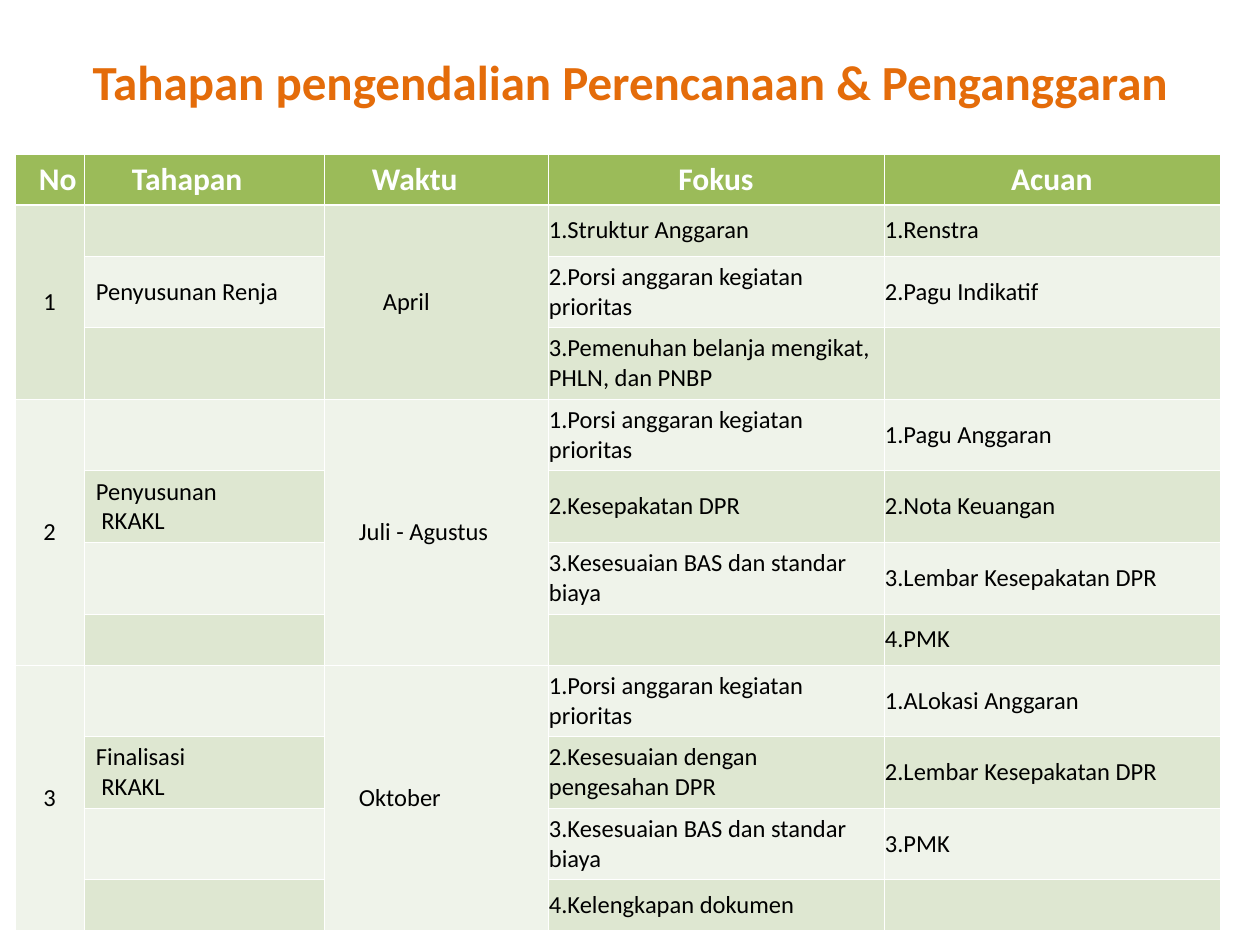
import dataclasses
import pptx
import pptx.util
import pptx.dml.color
import pptx.enum.text
import pptx.oxml.ns
import lxml.etree


@dataclasses.dataclass(frozen=True)
class Theme:
    """Colours, type sizes and line widths of the deck."""
    font: str = "Calibri"
    title: str = "E46C0A"
    head: str = "9BBB59"
    light: str = "FEFFFF"
    ink: str = "000000"
    line: str = "FFFFFF"
    bands: tuple = ("EFF3EA", "DEE7D1")
    big: int = 28
    mid: int = 18
    small: int = 14
    thin: float = 0.45
    thick: float = 1.47


SCALE = 914400 / 126
ALIGN = pptx.enum.text.PP_ALIGN
MIDDLE = pptx.enum.text.MSO_ANCHOR.MIDDLE
HEADS = ["No", "Tahapan", "Waktu", "Fokus", "Acuan"]
COLS = [69, 240, 224, 336, 336]
SHORT, TALL = 51, 60
STAGES = [
    ("1", "April", 59, [
        ("", "1.Struktur Anggaran", "1.Renstra"),
        ("Penyusunan Renja", "2.Porsi anggaran kegiatan prioritas", "2.Pagu Indikatif"),
        ("", "3.Pemenuhan belanja mengikat, PHLN, dan PNBP", "")]),
    ("2", "Juli - Agustus", 35, [
        ("", "1.Porsi anggaran kegiatan prioritas", "1.Pagu Anggaran"),
        ("Penyusunan\n RKAKL", "2.Kesepakatan DPR", "2.Nota Keuangan"),
        ("", "3.Kesesuaian BAS dan standar biaya", "3.Lembar Kesepakatan DPR"),
        ("", "", "4.PMK")]),
    ("3", "Oktober", 35, [
        ("", "1.Porsi anggaran kegiatan prioritas", "1.ALokasi Anggaran"),
        ("Finalisasi\n RKAKL", "2.Kesesuaian dengan pengesahan DPR", "2.Lembar Kesepakatan DPR"),
        ("", "3.Kesesuaian BAS dan standar biaya", "3.PMK"),
        ("", "4.Kelengkapan dokumen", "")]),
]


def px(n):
    return pptx.util.Emu(round(n * SCALE))


def rgb(code):
    return pptx.dml.color.RGBColor.from_string(code)


def apply(item, values):
    for name, value in values.items():
        setattr(item, name, value)


class Painter:
    """Draws styled elements on the current slide."""

    def __init__(self, theme, slide):
        self.theme, self.slide = theme, slide

    def label(self, frame, text, size, color, bold=False, align=ALIGN.LEFT):
        frame.text = text
        for para in frame.paragraphs:
            para.alignment = align
            for run in para.runs:
                apply(run.font, {"name": self.theme.font, "size": pptx.util.Pt(size), "bold": bold})
                run.font.color.rgb = rgb(color)

    def title(self, text, left, top, width, height, foot):
        shape = self.slide.shapes.title
        apply(shape, {"left": px(left), "top": px(top), "width": px(width), "height": px(height)})
        apply(shape.text_frame, {"vertical_anchor": MIDDLE, "word_wrap": True, "margin_bottom": px(foot)})
        self.label(shape.text_frame, text, self.theme.big, self.theme.title, True, ALIGN.CENTER)

    def table(self, left, top, cols, rows):
        grid = self.slide.shapes.add_table(
            len(rows), len(cols), px(left), px(top), px(sum(cols)), px(sum(rows))).table
        apply(grid, {"first_row": False, "horz_banding": False})
        for col, width in zip(grid.columns, cols):
            col.width = px(width)
        for row, height in zip(grid.rows, rows):
            row.height = px(height)
        return grid

    def edges(self, cell, row):
        tail = cell._tc.get_or_add_tcPr()
        widths = {"lnL": self.theme.thin, "lnR": self.theme.thin,
                  "lnT": self.theme.thick if row == 1 else self.theme.thin,
                  "lnB": self.theme.thick if row == 0 else self.theme.thin}
        qn = pptx.oxml.ns.qn
        for spot, (tag, width) in enumerate(widths.items()):
            line = lxml.etree.Element(qn("a:" + tag), w=str(int(pptx.util.Pt(width))))
            fill = lxml.etree.SubElement(line, qn("a:solidFill"))
            lxml.etree.SubElement(fill, qn("a:srgbClr"), val=self.theme.line)
            tail.insert(spot, line)

    def cell(self, grid, row, col, text="", inset=1, align=ALIGN.LEFT):
        cell, theme, head = grid.cell(row, col), self.theme, row == 0
        apply(cell, {"margin_left": px(inset), "margin_right": px(1), "margin_top": px(6),
                     "margin_bottom": px(6), "vertical_anchor": MIDDLE})
        cell.fill.solid()
        cell.fill.fore_color.rgb = rgb(theme.head if head else theme.bands[row % 2])
        self.edges(cell, row)
        size, color = (theme.mid, theme.light) if head else (theme.small, theme.ink)
        self.label(cell.text_frame, text, size, color, head, align)


def main():
    deck = pptx.Presentation()
    apply(deck, {"slide_width": px(1260), "slide_height": px(945)})
    pen = Painter(Theme(), deck.slides.add_slide(deck.slide_layouts[5]))
    pen.title("Tahapan pengendalian Perencanaan & Penganggaran", 63, 28, 1134, 158, 58)

    lines = [line for stage in STAGES for line in stage[3]]
    brief = {0, 1, 7, len(lines)}
    rows = [SHORT if i in brief else TALL for i in range(len(lines) + 1)]
    grid = pen.table(15, 154, COLS, rows)
    for col, (text, inset) in enumerate(zip(HEADS, [24, 48, 48, 1, 1])):
        pen.cell(grid, 0, col, text, inset, ALIGN.CENTER if col > 2 else ALIGN.LEFT)

    row = 1
    for num, time, inset, steps in STAGES:
        last = row + len(steps) - 1
        for step, (name, focus, basis) in enumerate(steps, row):
            first = step == row
            pen.cell(grid, step, 0, num if first else "", 1, ALIGN.CENTER)
            pen.cell(grid, step, 1, name, 12)
            pen.cell(grid, step, 2, time if first else "", inset)
            pen.cell(grid, step, 3, focus)
            pen.cell(grid, step, 4, basis)
        for col in (0, 2):
            grid.cell(row, col).merge(grid.cell(last, col))
        row = last + 1
    deck.save("out.pptx")


if __name__ == "__main__":
    main()
